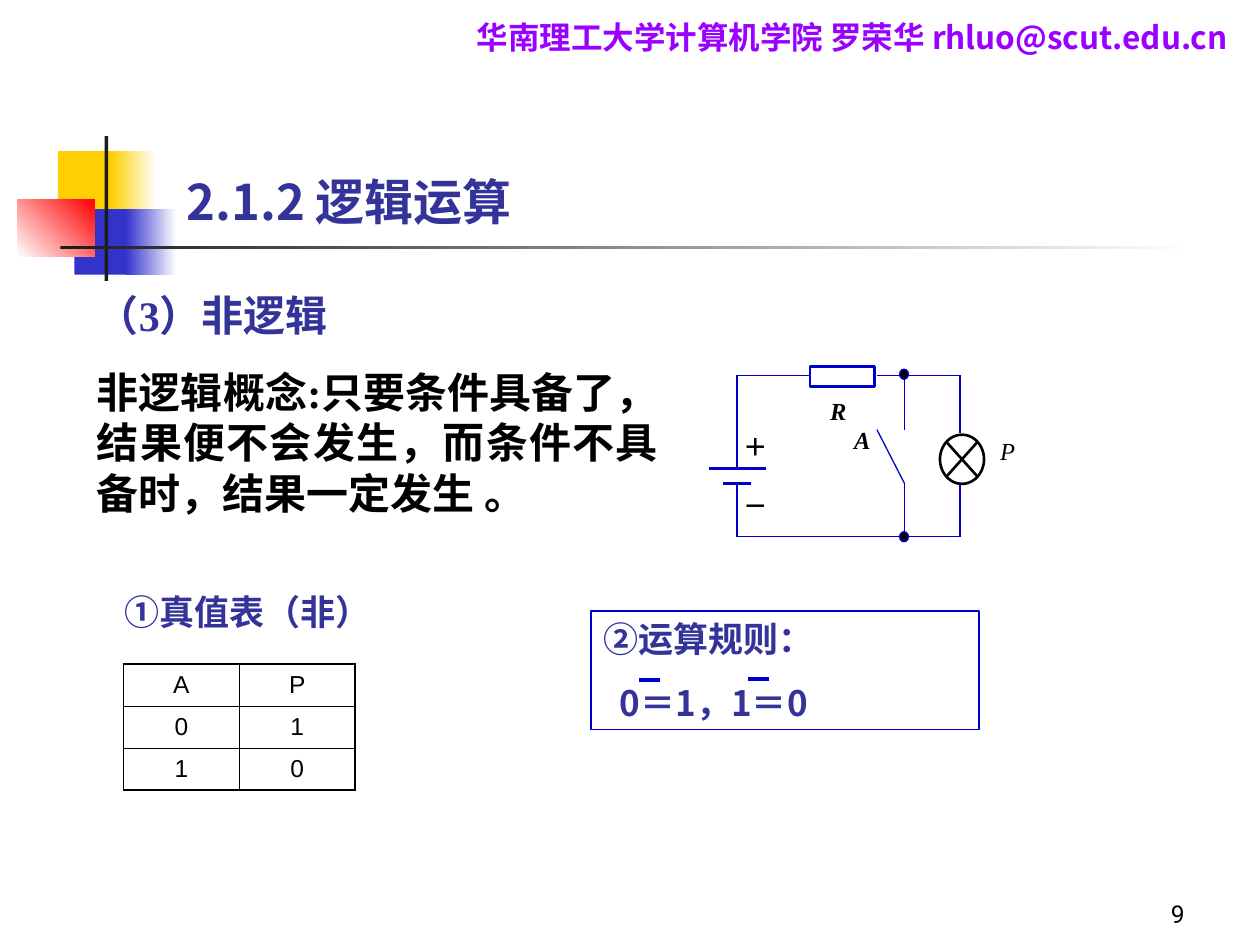
import pptx
import pptx.util
import pptx.dml.color
import pptx.enum.shapes
import pptx.enum.text
import pptx.oxml
import pptx.oxml.ns

Inches = pptx.util.Inches
Pt = pptx.util.Pt
colour = pptx.dml.color.RGBColor.from_string
SHAPE = pptx.enum.shapes.MSO_SHAPE
ALIGN = pptx.enum.text.PP_ALIGN
ANCHOR = pptx.enum.text.MSO_ANCHOR
qn = pptx.oxml.ns.qn

HEI = "Noto Sans CJK SC"
ROMAN = "Times New Roman"
BLACK, NAVY, BLUE, WHITE = "000000", "333399", "0000CC", "FFFFFF"


def write(para, spans, size, tint, align=ALIGN.LEFT, before=0, bold=False, italic=False):
    """Add (text, font) spans to a paragraph; Chinese glyphs always use HEI."""
    para.alignment = align
    para.space_before = Pt(before)
    for text, face in spans:
        span = para.add_run()
        span.text = text
        font = span.font
        font.name, font.size, font.bold, font.italic = face, Pt(size), bold, italic
        font.color.rgb = colour(tint)
        east_asian = pptx.oxml.parse_xml(
            f'<a:ea {pptx.oxml.ns.nsdecls("a")} typeface="{HEI}"/>')
        font._element.find(qn("a:latin")).addnext(east_asian)


def draw(kind, place, fill=None, line=None, width=0.75):
    """Add a preset shape, or a text box when kind is None, with top-anchored wrapping text."""
    place = [Inches(length) for length in place]
    if kind is None:
        shape = page.shapes.add_textbox(*place)
    else:
        shape = page.shapes.add_shape(kind, *place)
        shape.shadow.inherit = False
        if fill:
            shape.fill.solid()
            shape.fill.fore_color.rgb = colour(fill)
        else:
            shape.fill.background()
        if line:
            shape.line.color.rgb = colour(line)
            shape.line.width = Pt(width)
        else:
            shape.line.fill.background()
    shape.text_frame.word_wrap = True
    shape.text_frame.vertical_anchor = ANCHOR.TOP
    return shape


deck = pptx.Presentation()
deck.slide_width, deck.slide_height = Inches(10), Inches(7.5)
page = deck.slides.add_slide(deck.slide_layouts[5])

# Corner ornament: place, start colour, end colour, angle
ornament = [
    ((0.46, 1.2, 0.48, 0.52), "FFCF01", None, 0),
    ((0.88, 1.2, 0.36, 0.52), "FFCF01", WHITE, 0),
    ((0.59, 1.66, 0.46, 0.52), "3333CC", None, 0),
    ((1, 1.66, 0.4, 0.52), "3333CC", WHITE, 0),
    ((0.14, 1.58, 0.61, 0.46), WHITE, "FF0000", 45),
    ((0.83, 1.08, 0.03, 1.15), "1C1C1C", None, 0),
    ((0.48, 1.95, 9, 0.03), "1C1C1C", WHITE, 0),
]
for place, start, end, angle in ornament:
    block = draw(SHAPE.RECTANGLE, place, start)
    if end:
        block.fill.gradient()
        block.fill.gradient_angle = angle
        for stop, tint in zip(block.fill.gradient_stops, (start, end)):
            stop.color.rgb = colour(tint)

# Title, header and page number
title = page.shapes.title
title.left, title.top, title.width, title.height = [Inches(v) for v in (1.38, 1.31, 7.33, 0.57)]
title.text_frame.vertical_anchor = ANCHOR.MIDDLE
title.text_frame.auto_size = pptx.enum.text.MSO_AUTO_SIZE.NONE
write(title.text_frame.paragraphs[0], [("2.1.2 逻辑运算", HEI)], 28, NAVY, bold=True)

header = draw(None, (3.2, 0.09, 7.13, 0.4)).text_frame
write(header.paragraphs[0], [("华南理工大学计算机学院 罗荣华 rhluo@scut.edu.cn", HEI)],
      18, "9900FF", ALIGN.CENTER, bold=True)

number = draw(None, (7.42, 6.92, 2.08, 0.5)).text_frame
number.vertical_anchor = ANCHOR.BOTTOM
number.margin_right = 0.1 * Inches(1)
write(number.paragraphs[0], [("9", "Roboto")], 14, BLACK, ALIGN.RIGHT)

# Concept
concept = draw(None, (0.67, 2.25, 4.65, 1.91)).text_frame
write(concept.paragraphs[0], [("（", HEI), ("3", ROMAN), ("）非逻辑", HEI)],
      24, NAVY, ALIGN.JUSTIFY, bold=True)
write(concept.add_paragraph(),
      [("非逻辑概念:", ROMAN),
       ("只要条件具备了，结果便不会发生，而条件不具备时，结果一定发生 ", HEI), ("。", ROMAN)],
      24, BLACK, ALIGN.JUSTIFY, 15, bold=True)

# Rule box
rules = draw(SHAPE.RECTANGLE, (4.69, 4.85, 3.08, 0.94), line=BLUE).text_frame
write(rules.paragraphs[0], [("②运算规则：", HEI)], 20, NAVY, bold=True)
equation = rules.add_paragraph()
equation._p.get_or_add_pPr().set("marL", str(Inches(0.13)))
write(equation, [("0＝1，1＝0", HEI)], 20, NAVY, before=12.5, bold=True)

# Circuit: wires, battery plates and the bars over the negated digits
left, switch, right, top, bottom = 5.85, 7.18, 7.62, 2.98, 4.26
lines = [
    (0.75, [(left, 3.71), (left, top), (6.44, top)]),
    (0.75, [(6.96, top), (right, top), (right, 3.44)]),
    (0.75, [(right, 3.84), (right, bottom), (left, bottom), (left, 3.84)]),
    (0.75, [(switch, top), (switch, 3.41)]),
    (0.75, [(6.96, 3.41), (switch, 3.84), (switch, bottom)]),
    (1.5, [(5.63, 3.72), (6.08, 3.72)]),
    (1.5, [(5.74, 3.84), (5.96, 3.84)]),
    (2.25, [(5.07, 5.4), (5.24, 5.4)]),
    (2.25, [(5.94, 5.39), (6.1, 5.39)]),
]
for width, points in lines:
    for begin, end in zip(points, points[1:]):
        wire = page.shapes.add_connector(
            pptx.enum.shapes.MSO_CONNECTOR.STRAIGHT, *[Inches(v) for v in begin + end])
        wire.line.color.rgb = colour(BLUE)
        wire.line.width = Pt(width)
        wire._element.spPr.append(pptx.oxml.parse_xml(
            f'<a:effectLst {pptx.oxml.ns.nsdecls("a")}/>'))

draw(SHAPE.RECTANGLE, (6.43, 2.91, 0.51, 0.16), WHITE, BLUE, 1.5)
for y in (2.93, 4.22):
    draw(SHAPE.OVAL, (7.14, y, 0.07, 0.08), BLACK, BLUE)
draw(SHAPE.FLOWCHART_SUMMING_JUNCTION, (7.46, 3.45, 0.35, 0.39), WHITE, BLACK, 1.5)

lamp = draw(None, (7.84, 3.41, 0.46, 0.54)).text_frame
write(lamp.paragraphs[0], [("P", ROMAN)], 14, BLACK, italic=True)
parts = draw(None, (6.49, 3.09, 1.02, 0.76)).text_frame
write(parts.paragraphs[0], [("R", ROMAN)], 14, BLACK, bold=True, italic=True)
switch_label = parts.add_paragraph()
switch_label._p.get_or_add_pPr().set("marL", str(Inches(0.19)))
write(switch_label, [("A", ROMAN)], 14, BLACK, bold=True, italic=True)
poles = draw(None, (5.67, 3.38, 0.66, 0.92)).text_frame
write(poles.paragraphs[0], [("＋", ROMAN)], 14, BLACK, ALIGN.CENTER, bold=True)
write(poles.add_paragraph(), [("－", ROMAN)], 14, BLACK, ALIGN.CENTER, 17, bold=True)

# Truth table
caption = draw(None, (0.83, 4.64, 2.27, 0.44)).text_frame
write(caption.paragraphs[0], [("①真值表（非）", HEI)], 20, NAVY, ALIGN.CENTER, bold=True)

values = ["AP", "01", "10"]
table = page.shapes.add_table(
    3, 2, Inches(0.98), Inches(5.27), Inches(1.84), Inches(0.99)).table
table.first_row = table.horz_banding = False
for r, row in enumerate(values):
    for c, value in enumerate(row):
        cell = table.cell(r, c)
        cell.vertical_anchor = ANCHOR.MIDDLE
        write(cell.text_frame.paragraphs[0], [(value, "Arial")], 14, BLACK, ALIGN.CENTER)
        outer = {"L": c == 0, "R": c == 1, "T": r == 0, "B": r == 2}
        for side, is_outer in outer.items():
            weight = Pt(1.08 if is_outer else 0.45)
            cell._tc.get_or_add_tcPr().append(pptx.oxml.parse_xml(
                f'<a:ln{side} {pptx.oxml.ns.nsdecls("a")} w="{weight}"><a:solidFill>'
                f'<a:srgbClr val="{BLACK}"/></a:solidFill></a:ln{side}>'))
        cell.fill.background()

deck.save("out.pptx")
